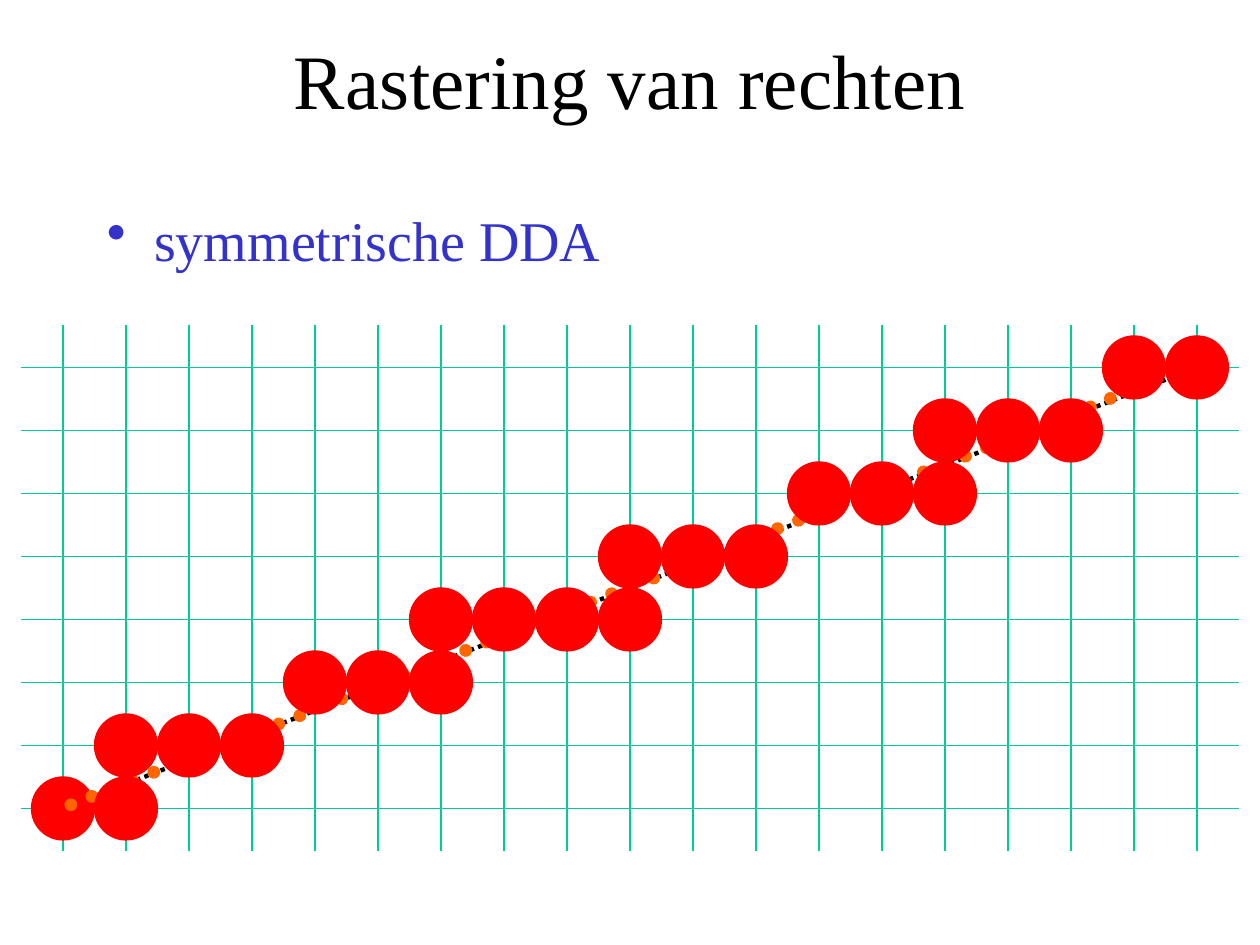
from pptx import Presentation
from pptx.dml.color import RGBColor
from pptx.enum.dml import MSO_LINE_DASH_STYLE as Dash
from pptx.enum.shapes import MSO_CONNECTOR as Connector, MSO_SHAPE as Shape
from pptx.enum.text import MSO_ANCHOR as Anchor, PP_ALIGN as Align
from pptx.oxml.ns import qn
from pptx.util import Pt
from lxml.etree import SubElement

EMU_PER_PX = 7620
COLORS = {
    "title": "000000",
    "body": "3333CC",
    "grid": "00CC99",
    "pixel": "FF0000",
    "sample": "FF6600",
}
CELL = 60
COLUMNS, ROWS = 19, 8
LEFT, BOTTOM = 60, 770
RIGHT = LEFT + (COLUMNS - 1) * CELL
TOP = BOTTOM - (ROWS - 1) * CELL
PIXEL_SPANS = [(0, 1), (1, 3), (4, 6), (6, 9), (9, 11), (12, 14), (14, 16), (17, 18)]
SAMPLES = 53


def px(value):
    return round(value) * EMU_PER_PX


def rgb(name):
    return RGBColor.from_string(COLORS[name])


def write_text(frame, text, *, size, color, align=Align.LEFT, anchor=Anchor.TOP,
               bullet=None, indent=0, before=0, font="Times New Roman"):
    frame.word_wrap = True
    frame.vertical_anchor = anchor
    paragraph = frame.paragraphs[0]
    paragraph.alignment = align
    paragraph.space_before = Pt(before)
    run = paragraph.add_run()
    run.text = text
    run.font.name = font
    run.font.size = Pt(size)
    run.font.color.rgb = rgb(color)
    if bullet:
        properties = paragraph._p.get_or_add_pPr()
        properties.set("marL", str(px(indent)))
        properties.set("indent", str(-px(indent)))
        SubElement(properties, qn("a:buChar")).set("char", bullet)


class Canvas:
    def __init__(self, slide, line_width=0.75):
        self.slide = slide
        self.line_width = line_width

    def text(self, x, y, width, height, text, **style):
        box = self.slide.shapes.add_textbox(px(x), px(y), px(width), px(height))
        write_text(box.text_frame, text, **style)

    def line(self, x1, y1, x2, y2, color, width=None, dash=None):
        connector = self.slide.shapes.add_connector(
            Connector.STRAIGHT, px(x1), px(y1), px(x2), px(y2))
        connector.line.color.rgb = rgb(color)
        connector.line.width = Pt(width or self.line_width)
        if dash:
            connector.line.dash_style = dash
        SubElement(connector._element.spPr, qn("a:effectLst"))

    def circle(self, x, y, diameter, color, rotation=0):
        shape = self.slide.shapes.add_shape(
            Shape.OVAL, px(x), px(y), px(diameter), px(diameter))
        shape.shadow.inherit = False
        shape.rotation = rotation
        shape.fill.solid()
        shape.fill.fore_color.rgb = rgb(color)
        shape.line.color.rgb = rgb(color)
        shape.line.width = Pt(self.line_width)

    def pixel(self, column, row):
        self.circle(LEFT + column * CELL - CELL // 2,
                    BOTTOM - row * CELL - CELL // 2, CELL, "pixel")


def main():
    presentation = Presentation()
    presentation.slide_width, presentation.slide_height = px(1200), px(900)
    canvas = Canvas(presentation.slides.add_slide(presentation.slide_layouts[6]))

    canvas.line(LEFT, BOTTOM, RIGHT, TOP, "title", width=2.5, dash=Dash.ROUND_DOT)
    canvas.text(90, 0, 1020, 150, "Rastering van rechten", size=44, color="title",
                align=Align.CENTER, anchor=Anchor.MIDDLE)
    canvas.text(90, 190, 1020, 76, "symmetrische DDA", size=32, color="body",
                bullet="•", indent=45, before=4)

    for column in range(COLUMNS):
        x = LEFT + column * CELL
        canvas.line(x, TOP - 40, x, BOTTOM + 40, "grid")
    for row in range(ROWS):
        y = TOP + row * CELL
        canvas.line(LEFT - 40, y, RIGHT + 40, y, "grid")

    endpoints = [(0, 0), (COLUMNS - 1, ROWS - 1)]
    for column, row in endpoints:
        canvas.pixel(column, row)

    for index in range(SAMPLES):
        progress = index / (SAMPLES - 1)
        canvas.circle(62 + 1030 * progress, 761 - 402 * progress, 11, "sample",
                      rotation=338.8)

    for row, (first, last) in enumerate(PIXEL_SPANS):
        for column in range(first, last + 1):
            if (column, row) not in endpoints:
                canvas.pixel(column, row)

    presentation.save("out.pptx")


if __name__ == "__main__":
    main()
